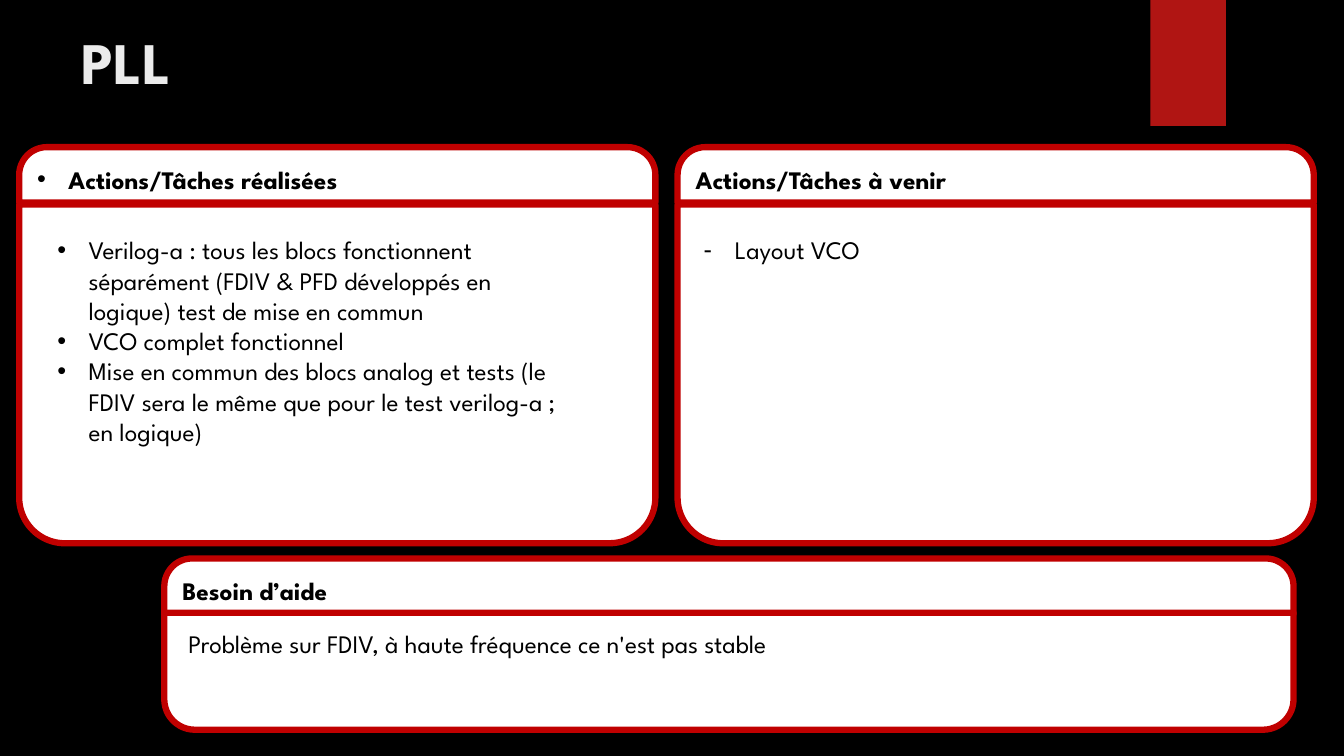
from lxml import etree
from pptx import Presentation
from pptx.dml.color import RGBColor
from pptx.enum.shapes import MSO_SHAPE as SHAPE
from pptx.enum.text import MSO_ANCHOR as ANCHOR, PP_ALIGN as ALIGN
from pptx.oxml.ns import qn
from pptx.util import Inches, Pt

COLORS = {"background": "000000", "ribbon": "B01513", "border": "C00000",
          "card": "FFFFFF", "title": "EBEBEB", "text": "000000"}
COLORS = {part: RGBColor.from_string(value) for part, value in COLORS.items()}
FONT = "League Spartan"


def add_panel(kind, box, fill, border=None):
    panel = slide.shapes.add_shape(kind, *map(Inches, box))
    panel.shadow.inherit = False
    panel.fill.solid()
    panel.fill.fore_color.rgb = COLORS[fill]
    if border:
        panel.line.color.rgb = COLORS[border]
        panel.line.width = Pt(4.5)
    else:
        panel.line.fill.background()
    return panel


def write(shape, lines, size=18, bold=False, color="text", bullet=None):
    frame = shape.text_frame
    frame.word_wrap = True
    for number, line in enumerate(lines):
        paragraph = frame.add_paragraph() if number else frame.paragraphs[0]
        paragraph.text = line
        paragraph.alignment = ALIGN.LEFT
        if bullet:
            props = paragraph._p.get_or_add_pPr()
            props.set("marL", str(Inches(0.31)))
            props.set("indent", str(Inches(-0.31)))
            etree.SubElement(props, qn("a:buFont"), typeface="Arial")
            etree.SubElement(props, qn("a:buChar"), char=bullet)
        paragraph.font.name = FONT
        paragraph.font.size = Pt(size)
        paragraph.font.bold = bold
        paragraph.font.color.rgb = COLORS[color]


prs = Presentation()
prs.slide_width, prs.slide_height = Inches(13.33), Inches(7.5)
slide = prs.slides.add_slide(prs.slide_layouts[6])
slide.background.fill.solid()
slide.background.fill.fore_color.rgb = COLORS["background"]

# Ribbon and title
add_panel(SHAPE.RECTANGLE, (11.41, 0, 0.75, 1.25), "ribbon")
title = slide.shapes.add_textbox(*map(Inches, (0.71, 0.21, 10.29, 1.53)))
write(title, ["PLL"], size=42, bold=True, color="title")

# Cards: heading, its bullet, left, top, width, body top, body height,
# corner rounding, text box, text bullet, text
cards = [
    ("Actions/Tâches réalisées", "•", 0.19, 1.46, 6.31, 2.03, 3.36, 0.135,
     (0.47, 2.28, 5.38, 3.13), "•",
     ["Verilog-a : tous les blocs fonctionnent séparément (FDIV & PFD "
      "développés en logique) test de mise en commun",
      "VCO complet fonctionnel",
      "Mise en commun des blocs analog et tests (le FDIV sera le même que "
      "pour le test verilog-a ; en logique)"]),
    ("Actions/Tâches à venir", None, 6.72, 1.46, 6.31, 2.03, 3.36, 0.135,
     (6.88, 2.28, 5.38, 1.01), "-", ["Layout VCO"]),
    ("Besoin d’aide", None, 1.63, 5.54, 11.2, 6.08, 1.16, 0.261,
     (1.77, 6.18, 7.68, 0.4), None,
     ["Problème sur FDIV, à haute fréquence ce n'est pas stable"]),
]
for (heading, heading_bullet, left, top, width, body_top, body_height,
     rounding, text_box, text_bullet, lines) in cards:
    header = add_panel(SHAPE.ROUND_2_SAME_RECTANGLE,
                       (left, top, width, 0.55), "card", "border")
    header.adjustments[0], header.adjustments[1] = 0.5, 0
    header.text_frame.vertical_anchor = ANCHOR.MIDDLE
    write(header, [heading], bold=True, bullet=heading_bullet)

    body = add_panel(SHAPE.ROUND_2_SAME_RECTANGLE,
                     (left, body_top, width, body_height), "card", "border")
    body.adjustments[0], body.adjustments[1] = 0, rounding

    content = slide.shapes.add_textbox(*map(Inches, text_box))
    write(content, lines, bullet=text_bullet)

prs.save("out.pptx")
